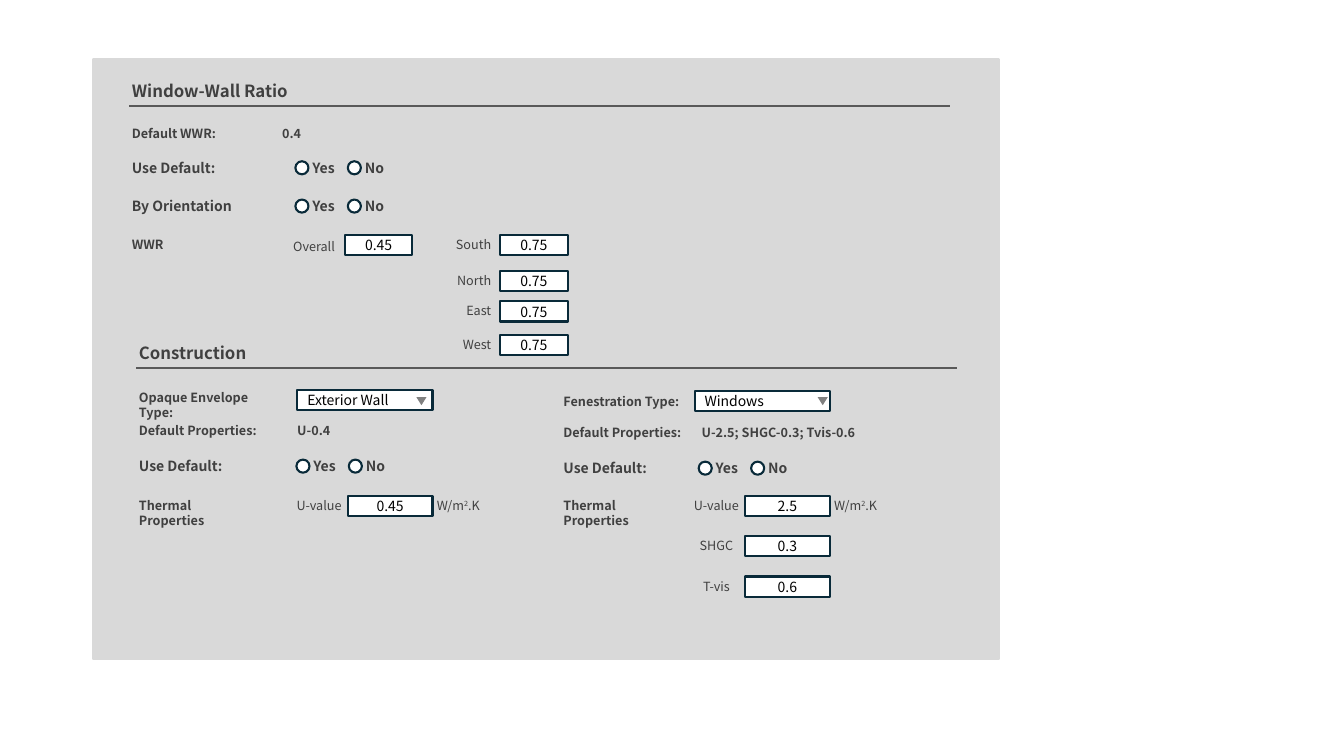
from lxml.etree import SubElement
from pptx import Presentation
from pptx.dml.color import RGBColor
from pptx.enum.shapes import MSO_CONNECTOR, MSO_SHAPE
from pptx.enum.text import MSO_ANCHOR, MSO_AUTO_SIZE, PP_ALIGN
from pptx.oxml.ns import qn
from pptx.util import Inches, Pt

LEFT, CENTER, RIGHT = PP_ALIGN.LEFT, PP_ALIGN.CENTER, PP_ALIGN.RIGHT


def rgb(value):
    return RGBColor.from_string(value)


class Form:
    font = "Noto Sans CJK SC"
    ink = "404040"
    edge = "092A39"
    line_height = 1.2

    def __init__(self, slide):
        self.shapes = slide.shapes

    def style(self, p, size, color, bold, align):
        p.alignment = align
        p.line_spacing = Pt(size * self.line_height)
        for r in p.runs:
            r.font.name = self.font
            r.font.size = Pt(size)
            r.font.bold = bold
            r.font.color.rgb = rgb(color)

    def shape(self, kind, x, y, w, h, fill, line=None):
        sp = self.shapes.add_shape(kind, Inches(x), Inches(y), Inches(w), Inches(h))
        sp.shadow.inherit = False
        sp.fill.solid()
        sp.fill.fore_color.rgb = rgb(fill)
        if line:
            sp.line.color.rgb = rgb(line)
            sp.line.width = Pt(1.5)
        else:
            sp.line.fill.background()
        return sp

    def label(self, text, x, y, w, size=9, bold=True, align=LEFT):
        height = 0.1 + size * self.line_height / 72
        tb = self.shapes.add_textbox(Inches(x), Inches(y), Inches(w), Inches(height))
        tf = tb.text_frame
        tf.word_wrap = True
        tf.auto_size = MSO_AUTO_SIZE.SHAPE_TO_FIT_TEXT
        p = tf.paragraphs[0]
        p.text = text
        self.style(p, size, self.ink, bold, align)
        return p

    def caption(self, text, x, y, align=CENTER):
        return self.label(text, x, y, 0.67, bold=False, align=align)

    def tabbed(self, name, value, x, y, w, stop):
        p = self.label(f"{name}\t{value}", x, y, w)
        tabs = SubElement(p._p.get_or_add_pPr(), qn("a:tabLst"))
        SubElement(tabs, qn("a:tab"), pos=str(Inches(stop)), algn="l")

    def unit(self, x, y):
        p = self.caption("W/m", x, y)
        for text in ("2", ".K"):
            p.add_run().text = text
        self.style(p, 9, self.ink, False, CENTER)
        p.runs[1]._r.get_or_add_rPr().set("baseline", "30000")

    def heading(self, text, x, y):
        self.label(text, x, y, 3.93, size=12)
        start, level = Inches(x + 0.07), Inches(y + 0.3)
        rule = self.shapes.add_connector(
            MSO_CONNECTOR.STRAIGHT, start, level, start + Inches(8.14), level)
        rule.line.color.rgb = rgb("595959")
        rule.line.width = Pt(1)
        SubElement(rule._element.spPr, qn("a:effectLst"))

    def field(self, text, x, y, w, align=CENTER):
        sp = self.shape(MSO_SHAPE.RECTANGLE, x, y, w, 0.2, "FFFFFF", self.edge)
        tf = sp.text_frame
        tf.vertical_anchor = MSO_ANCHOR.MIDDLE
        tf.text = text
        self.style(tf.paragraphs[0], 10, "000000", False, align)

    def dropdown(self, text, x, y, arrow_x):
        self.field(text, x, y, 1.34, LEFT)
        arrow = self.shape(MSO_SHAPE.ISOSCELES_TRIANGLE, arrow_x, 3.94, 0.1, 0.08, "808080")
        arrow.rotation = 180

    def choice(self, question, x, y, button_x):
        self.label(question, x, y, 1.19, size=10)
        for i, answer in enumerate(("Yes", "No")):
            left = button_x + 0.52 * i
            self.shape(MSO_SHAPE.OVAL, left, y + 0.07, 0.13, 0.13, "FFFFFF", self.edge)
            self.label(answer, left + 0.07, y, 0.45, size=10)

    def thermal(self, x, caption_x, properties):
        self.label("Thermal Properties", x, 4.89, 1.33)
        for i, (name, value) in enumerate(properties):
            y = 4.89 + 0.4 * i
            self.caption(name, caption_x, y)
            self.field(value, caption_x + 0.62, y + 0.03, 0.84)
        self.unit(caption_x + 1.38, 4.89)


def main():
    prs = Presentation()
    prs.slide_width, prs.slide_height = Inches(13.33), Inches(7.5)
    form = Form(prs.slides.add_slide(prs.slide_layouts[6]))
    form.shape(MSO_SHAPE.RECTANGLE, 0.92, 0.59, 8.99, 5.95, "D9D9D9", "D9D9D9")

    form.heading("Window-Wall Ratio", 1.21, 0.75)
    form.tabbed("Default WWR:", "0.4", 1.21, 1.2, 2.83, 1.49)
    form.choice("Use Default:", 1.21, 1.53, 2.93)
    form.choice("By Orientation", 1.21, 1.91, 2.93)
    form.label("WWR", 1.21, 2.3, 1.19)
    form.caption("Overall", 2.78, 2.32)
    form.field("0.45", 3.42, 2.33, 0.67)
    for side, y in (("South", 2.3), ("North", 2.66), ("East", 2.96), ("West", 3.29)):
        form.caption(side, 4.3, y, RIGHT)
        form.field("0.75", 4.96, y + 0.03, 0.67)

    form.heading("Construction", 1.28, 3.35)
    form.label("Opaque Envelope Type:", 1.28, 3.82, 1.58)
    form.dropdown("Exterior Wall", 2.95, 3.87, 4.13)
    form.tabbed("Default Properties:", "U-0.4", 1.28, 4.15, 2.83, 1.57)
    form.choice("Use Default:", 1.28, 4.49, 2.94)
    form.thermal(1.28, 2.83, [("U-value", "0.45")])

    form.label("Fenestration Type:", 5.49, 3.86, 1.61)
    form.dropdown("Windows", 6.89, 3.88, 8.11)
    form.tabbed("Default Properties:", "U-2.5; SHGC-0.3; Tvis-0.6", 5.49, 4.17, 3.48, 1.37)
    form.choice("Use Default:", 5.49, 4.51, 6.93)
    form.thermal(5.49, 6.77, [("U-value", "2.5"), ("SHGC", "0.3"), ("T-vis", "0.6")])

    prs.save("out.pptx")


if __name__ == "__main__":
    main()
